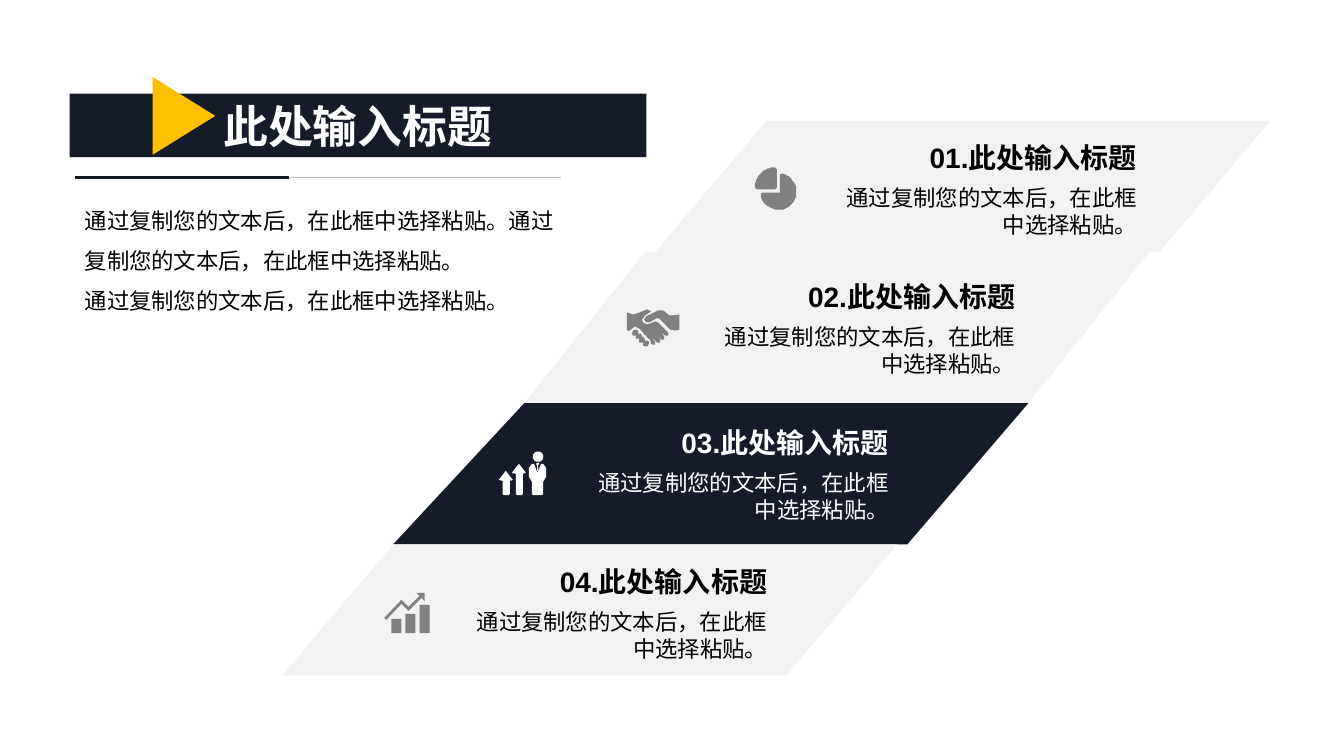
import math

import pptx
import pptx.dml.color
import pptx.enum.shapes
import pptx.enum.text
import pptx.oxml.ns
import pptx.util
from lxml import etree

ANCHOR = pptx.enum.text.MSO_ANCHOR
ALIGN = pptx.enum.text.PP_ALIGN
SHAPE = pptx.enum.shapes.MSO_SHAPE

THEME = {
    "font": "Arial", "navy": "151B29", "pale": "F2F2F2", "gold": "FFC000",
    "icon": "808080", "rule": "BFBFBF", "black": "000000", "white": "FFFFFF",
    "title": 32, "heading": 20, "body": 16,
}

HEADING = "此处输入标题"
SENTENCE = "通过复制您的文本后，在此框中选择粘贴。"
INTRO = [SENTENCE * 2, SENTENCE]

# Grid cells are a tenth of an inch, both ways.
CELL = pptx.util.Inches(0.1)
TITLE_BAR = (6.9, 9.3, 57.2, 6.3)
MARKER = (14.4, 8.4, 7.7, 6.2)
INTRO_BOX = (7.4, 18.7, 49.9, 10.8)
RULE_Y = 17.6
RULES = [(7.4, 55.6, "rule", 0.25), (7.4, 28.7, "navy", 2.25)]
BAND_TOP, BAND_LEFT, BAND_WIDTH, BAND_GAP = 12.2, 75.9, 50.1, 0.27
SLANT = 0.871
TEXT_INDENT, TEXT_WIDTH, HEADING_HEIGHT, DETAIL_HEIGHT = 6.3, 32.3, 4.7, 6.6


def arc(x, y, radius, start, end):
    """Return points along an arc, angles in degrees clockwise from the right."""
    steps = 32
    angles = [math.radians(start + (end - start) * i / steps) for i in range(steps + 1)]
    return [(x + radius * math.cos(a), y + radius * math.sin(a)) for a in angles]


def up_arrow(left, top):
    """Return an upward arrow standing on the icon's base line."""
    return [(left + 7, top), (left + 14, top + 9), (left + 11, top + 10), (left + 11, 42),
            (left + 10, 43), (left + 5, 43), (left + 4, 42), (left + 4, top + 10),
            (left, top + 9)]


def bar(left, top):
    """Return one column of the growth icon."""
    return [(left, 40), (left + 10, 40), (left + 10, top), (left, top)]


# Icon outlines, in hundredths of an inch from the icon's own corner.
PIE = [
    arc(23.5, 24, 18, -78, 170) + [(7, 25), (25, 25), (25, 7)],
    arc(20, 20, 20, 180, 270) + [(22, 2), (22, 20), (20, 22), (2, 22)],
]
HANDSHAKE = [
    [(52, 5), (52, 20), (48, 21), (43, 20), (32, 9), (29, 9), (22, 13), (19, 13),
     (17, 10), (19, 7), (31, 1), (36, 1), (42, 6), (44, 6)],
    [(18, 31), (17, 28), (15, 27), (14, 24), (11, 24), (11, 21), (9, 20), (6, 21),
     (5, 24), (6, 26), (9, 26), (9, 29), (12, 29), (12, 33), (16, 33), (16, 36),
     (19, 37), (21, 36), (22, 33), (21, 31)],
    [(41, 23), (31, 13), (28, 12), (23, 14), (20, 15), (16, 13), (15, 10), (18, 6),
     (24, 2), (20, 0), (10, 4), (6, 5), (0, 3), (0, 21), (3, 21), (5, 19), (8, 17),
     (12, 19), (14, 21), (16, 23), (17, 25), (19, 26), (20, 28), (23, 30), (24, 34),
     (25, 35), (28, 35), (28, 32), (25, 29), (26, 29), (30, 33), (33, 33), (33, 30),
     (29, 25), (34, 30), (37, 30), (37, 27), (34, 22), (38, 26), (41, 26)],
]
LEADER = [
    up_arrow(0, 19), up_arrow(13, 12), arc(39, 5, 5, 0, 360),
    [(35, 12), (38, 20), (39, 20), (42, 12), (44, 12), (47, 16), (47, 25), (44, 30),
     (44, 42), (43, 43), (34, 43), (33, 42), (33, 30), (30, 25), (30, 16), (33, 12)],
    [(38, 11), (40, 11), (40, 12), (39, 14), (39, 19), (38, 19), (38, 14), (37, 12)],
]
GROWTH = [
    [(24, 18), (17, 11), (2, 27), (0, 25), (17, 7), (24, 14), (35, 3), (32, 0),
     (40, 0), (40, 8), (37, 5)],
    bar(7, 26), bar(21, 21), bar(35, 12),
]

# Icon, its centre's distance from the slanted edge, band height, band / icon / text colour.
BANDS = [
    (PIE, 6.7, 13, "pale", "icon", "black"),
    (HANDSHAKE, 6.6, 14.15, "pale", "icon", "black"),
    (LEADER, 6.2, 14.15, "navy", "white", "white"),
    (GROWTH, 6.8, 13, "pale", "icon", "black"),
]


def color(name):
    """Look up a theme colour."""
    return pptx.dml.color.RGBColor.from_string(THEME[name])


def cells(*values):
    """Turn grid cells into slide lengths."""
    return [round(value * CELL) for value in values]


def place(shape, box):
    """Move and size a shape to a box of grid cells."""
    shape.left, shape.top, shape.width, shape.height = cells(*box)


def paint(shape, fill):
    """Give a shape a flat fill without line or shadow."""
    shape.shadow.inherit = False
    shape.fill.solid()
    shape.fill.fore_color.rgb = color(fill)
    shape.line.fill.background()


def outline(slide, contours, left, top, unit, fill):
    """Draw closed contours as one freeform."""
    builder = slide.shapes.build_freeform(*contours[0][0], scale=unit)
    for contour in contours:
        builder.move_to(*contour[0])
        builder.add_line_segments(contour[1:], close=True)
    paint(builder.convert_to_shape(*cells(left, top)), fill)


def write(shape, texts, size, ink, align=ALIGN.LEFT, anchor=ANCHOR.TOP, spacing=1.0, bold=False):
    """Write paragraphs in one style."""
    frame = shape.text_frame
    frame.word_wrap = True
    frame.auto_size = pptx.enum.text.MSO_AUTO_SIZE.NONE
    frame.vertical_anchor = anchor
    for index, text in enumerate(texts):
        paragraph = frame.add_paragraph() if index else frame.paragraphs[0]
        paragraph.alignment = align
        paragraph.line_spacing = spacing
        paragraph.space_before = pptx.util.Pt(0)
        run = paragraph.add_run()
        run.text = text
        run.font.name = THEME["font"]
        run.font.size = pptx.util.Pt(THEME[size])
        run.font.bold = bold
        run.font.color.rgb = color(ink)


def add_intro(slide):
    """Build the title bar, its marker, the rules and the introduction."""
    title, body = slide.placeholders
    place(title, TITLE_BAR)
    title.fill.solid()
    title.fill.fore_color.rgb = color("navy")
    write(title, [HEADING], "title", "white", ALIGN.CENTER, ANCHOR.BOTTOM, bold=True)
    place(body, INTRO_BOX)
    write(body, INTRO, "body", "black", spacing=1.5)
    for paragraph in body.text_frame.paragraphs:
        properties = paragraph._p.get_or_add_pPr()
        properties.set("marL", "0")
        properties.set("indent", "0")
        etree.SubElement(properties, pptx.oxml.ns.qn("a:buNone"))
    for start, end, ink, weight in RULES:
        rule = slide.shapes.add_connector(
            pptx.enum.shapes.MSO_CONNECTOR.STRAIGHT, *cells(start, RULE_Y, end, RULE_Y))
        rule.line.color.rgb = color(ink)
        rule.line.width = pptx.util.Pt(weight)
        etree.SubElement(rule._element.spPr, pptx.oxml.ns.qn("a:effectLst"))
    marker = slide.shapes.add_shape(SHAPE.ISOSCELES_TRIANGLE, *cells(*MARKER))
    marker.rotation = 90
    paint(marker, "gold")


def edge(y):
    """Return where the slanted left edge lies at a height."""
    return BAND_LEFT - (y - BAND_TOP) * SLANT


def add_bands(slide):
    """Stack the slanted bands with their icons and texts."""
    top = BAND_TOP
    for number, (icon, offset, height, fill, icon_fill, ink) in enumerate(BANDS, 1):
        bottom, middle = top + height, top + height / 2
        corners = [(edge(top), top), (edge(top) + BAND_WIDTH, top),
                   (edge(bottom) + BAND_WIDTH, bottom), (edge(bottom), bottom)]
        outline(slide, [corners], 0, 0, CELL, fill)

        xs, ys = zip(*(point for contour in icon for point in contour))
        outline(slide, icon, edge(middle) + offset - max(xs) / 20, middle - max(ys) / 20,
                CELL / 10, icon_fill)

        text_top = middle - (HEADING_HEIGHT + DETAIL_HEIGHT) / 2
        left = edge(text_top) + TEXT_INDENT
        heading = slide.shapes.add_textbox(*cells(left, text_top, TEXT_WIDTH, HEADING_HEIGHT))
        write(heading, [f"{number:02}.{HEADING}"], "heading", ink, ALIGN.RIGHT,
              ANCHOR.BOTTOM, 1.2, True)
        detail = slide.shapes.add_textbox(
            *cells(left, text_top + HEADING_HEIGHT, TEXT_WIDTH, DETAIL_HEIGHT))
        write(detail, [SENTENCE], "body", ink, ALIGN.RIGHT)
        top = bottom + BAND_GAP


presentation = pptx.Presentation()
presentation.slide_width = pptx.util.Inches(13.33)
presentation.slide_height = pptx.util.Inches(7.5)
slide = presentation.slides.add_slide(presentation.slide_layouts[1])
add_intro(slide)
add_bands(slide)
presentation.save("out.pptx")
